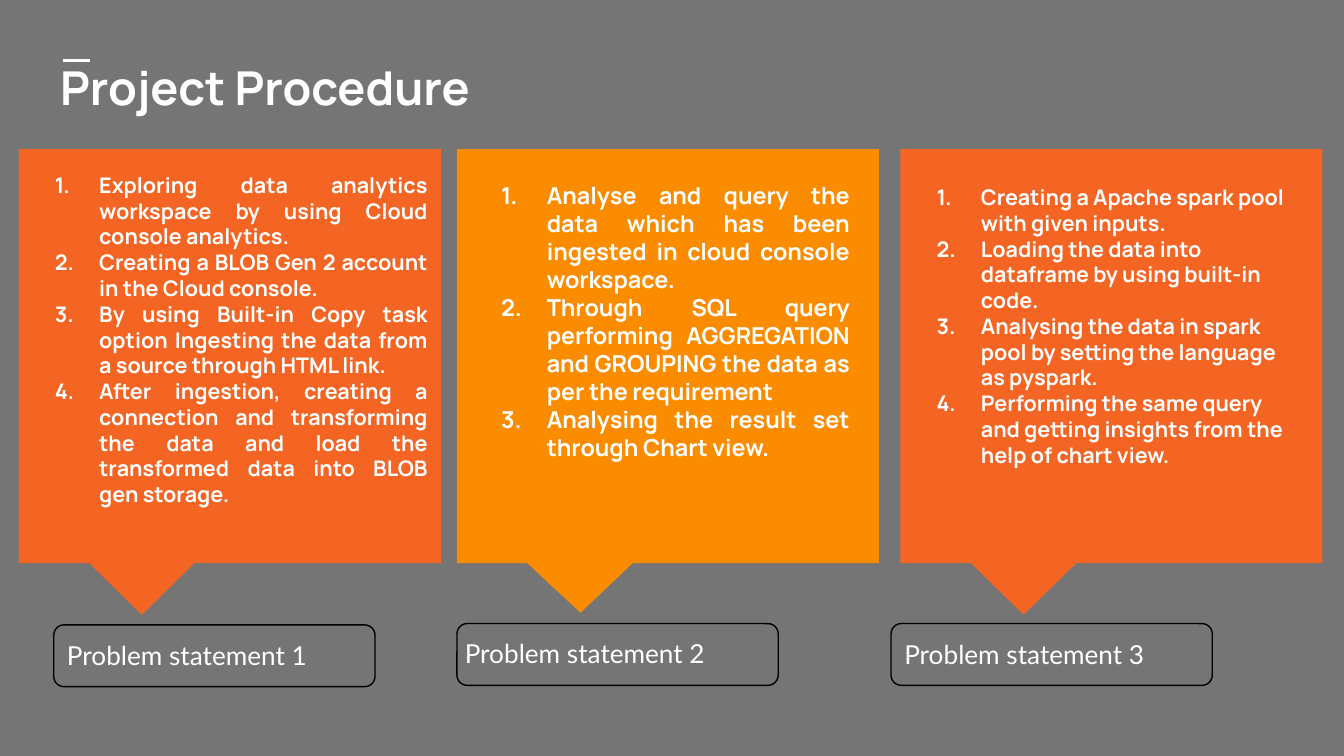
import pptx
import pptx.util
import pptx.dml.color
import pptx.enum.shapes
import pptx.enum.text
import pptx.oxml.ns
import lxml.etree as etree

RGB = pptx.dml.color.RGBColor
KIND = pptx.enum.shapes.MSO_SHAPE
ALIGN = pptx.enum.text.PP_ALIGN
Pt = pptx.util.Pt
qn = pptx.oxml.ns.qn

WHITE = RGB(0xFF, 0xFF, 0xFF)
BLACK = RGB(0x00, 0x00, 0x00)
GRAY = RGB(0x75, 0x75, 0x75)
RED = RGB(0xF4, 0x65, 0x24)
AMBER = RGB(0xFB, 0x8C, 0x00)

# The grid has 100 columns across the slide; its rows are as tall as they are wide
WIDE = pptx.util.Inches(10)
HIGH = pptx.util.Inches(5.625)

# Per card: left, fill, pointer, text box, text fill, size, hang, align, steps
CARDS = [
    (1.4, RED, (-0.208, 0.625), (1.4, 11.8, 31.4, 29.6), RED, 11.5, 3.3, ALIGN.JUSTIFY, [
        "Exploring data analytics workspace by using Cloud console analytics.",
        "Creating a BLOB Gen 2 account in the Cloud console.",
        "By using Built-in Copy task option Ingesting the data from a source "
        "through HTML link.",
        "After ingestion, creating a connection and transforming the data and "
        "load the transformed data into BLOB gen storage.",
    ]),
    (34, AMBER, (-0.207, 0.62), (34.7, 12.5, 29.5, 26.5), None, 12.5, 3.4, ALIGN.JUSTIFY, [
        "Analyse and query the data which has been ingested in cloud console "
        "workspace.",
        "Through SQL query performing AGGREGATION and GROUPING the data as "
        "per the requirement",
        "Analysing the result set through Chart view.",
    ]),
    (67, RED, (-0.208, 0.625), (67, 12.7, 30.1, 27.4), None, 11.5, 3.3, ALIGN.LEFT, [
        "Creating a Apache spark pool with given inputs.",
        "Loading the data into dataframe by using built-in code.",
        "Analysing the data in spark pool by setting the language as pyspark.",
        "Performing the same query and getting insights from the help of "
        "chart view.",
    ]),
]

# Per label: frame left and top, text left and top
LABELS = [(4, 46.5, 4, 46.6), (34, 46.4, 33.6, 46.4), (66.3, 46.4, 66.3, 46.5)]


def cell(count):
    """Length of a number of grid columns."""
    return round(WIDE * count / 100)


def add_box(slide, kind, area, fill, line=None):
    box = slide.shapes.add_shape(kind, *map(cell, area))
    box.shadow.inherit = False
    box.fill.solid()
    box.fill.fore_color.rgb = fill
    if line is None:
        box.line.fill.background()
    else:
        box.line.color.rgb = line
        box.line.width = Pt(0.75)
    return box


def add_rule(slide, left, right, top):
    ends = map(cell, (left, top, right, top))
    rule = slide.shapes.add_connector(
        pptx.enum.shapes.MSO_CONNECTOR.STRAIGHT, *ends)
    rule.line.color.rgb = WHITE
    rule.line.width = Pt(1.5)
    etree.SubElement(rule._element.spPr, qn("a:effectLst"))


def set_list(para, hang):
    """Number the paragraph with a hanging indent."""
    props = para._p.get_or_add_pPr()
    props.set("marL", str(cell(5)))
    props.set("indent", str(-cell(hang)))
    tint = etree.SubElement(etree.SubElement(props, qn("a:buClr")), qn("a:srgbClr"))
    tint.set("val", str(WHITE))
    etree.SubElement(props, qn("a:buFont")).set("typeface", "Manrope")
    etree.SubElement(props, qn("a:buAutoNum")).set("type", "arabicPeriod")


def add_text(slide, area, lines, font, size, bold=False, align=ALIGN.LEFT, hang=None):
    box = slide.shapes.add_textbox(*map(cell, area))
    frame = box.text_frame
    frame.word_wrap = True
    frame.margin_left = frame.margin_right = cell(1)
    frame.margin_top = frame.margin_bottom = cell(1)
    for spot, line in enumerate(lines):
        para = frame.add_paragraph() if spot else frame.paragraphs[0]
        para.alignment = align
        if hang:
            set_list(para, hang)
        run = para.add_run()
        run.text = line
        run.font.name = font
        run.font.size = Pt(size)
        run.font.bold = bold
        run.font.color.rgb = WHITE
    return box


def add_card(slide, left, fill, tip):
    card = add_box(slide, KIND.RECTANGULAR_CALLOUT, (left, 11.1, 31.4, 30.8), fill)
    card.adjustments[0], card.adjustments[1] = tip


def add_label(slide, number, left, top, text_left, text_top):
    add_box(slide, KIND.ROUNDED_RECTANGLE, (left, top, 23.9, 4.6), GRAY, BLACK)
    add_text(slide, (text_left, text_top, 27.1, 4.4),
             [f"Problem statement {number}"], "Lato", 14)


def main():
    deck = pptx.Presentation()
    deck.slide_width, deck.slide_height = WIDE, HIGH
    slide = deck.slides.add_slide(deck.slide_layouts[6])
    slide.background.fill.solid()
    slide.background.fill.fore_color.rgb = GRAY

    # Heading
    add_rule(slide, 4.7, 6.7, 4.5)
    add_text(slide, (3.5, 3.4, 94.3, 11.2), ["Project Procedure"], "Manrope", 25, True)

    # Callout cards with numbered steps
    for left, fill, tip, area, back, size, hang, align, steps in CARDS:
        add_card(slide, left, fill, tip)
        box = add_text(slide, area, steps, "Manrope", size, True, align, hang)
        if back is not None:
            box.fill.solid()
            box.fill.fore_color.rgb = back

    # Labels under the cards
    for number, spots in enumerate(LABELS, 1):
        add_label(slide, number, *spots)

    deck.save("out.pptx")


if __name__ == "__main__":
    main()
